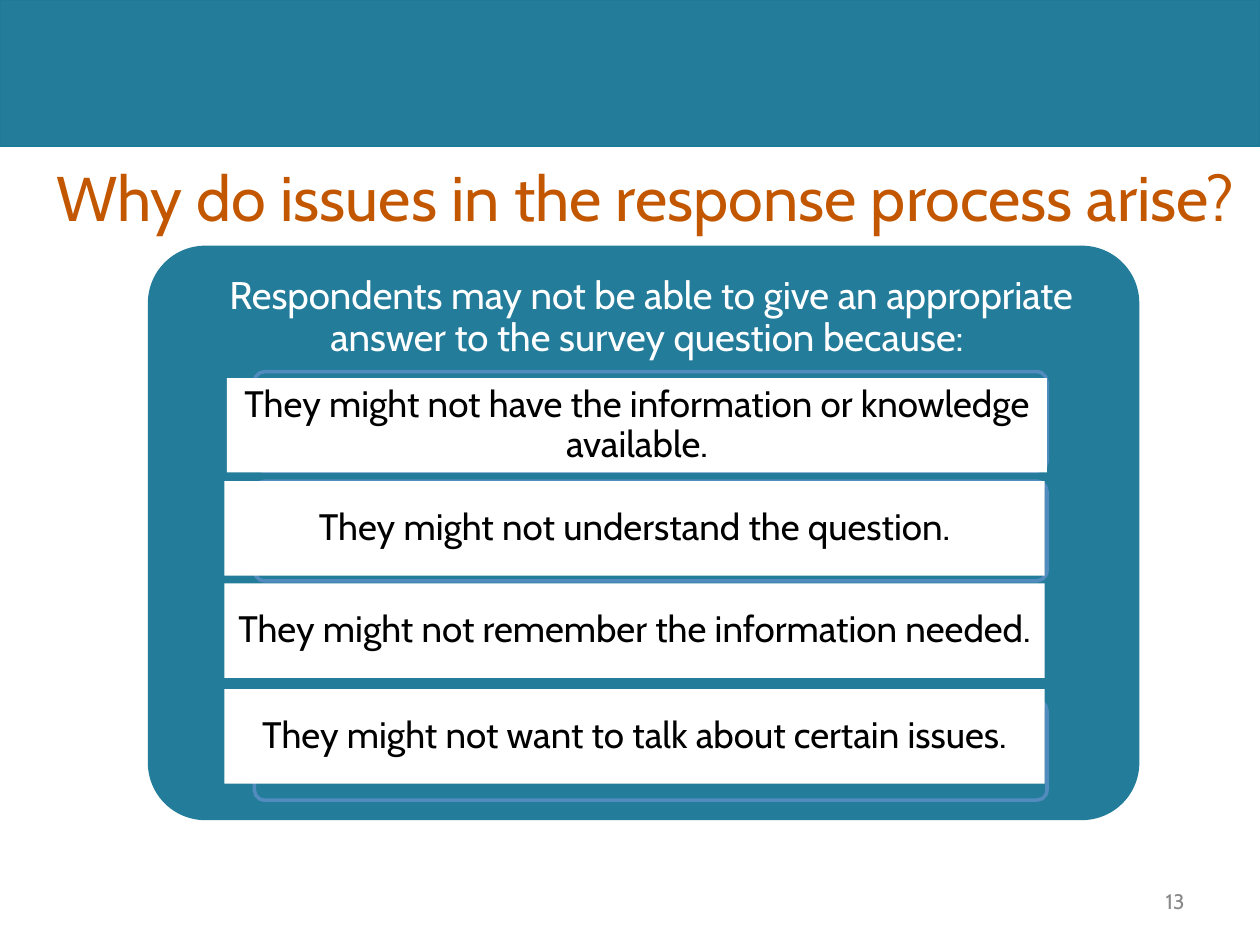
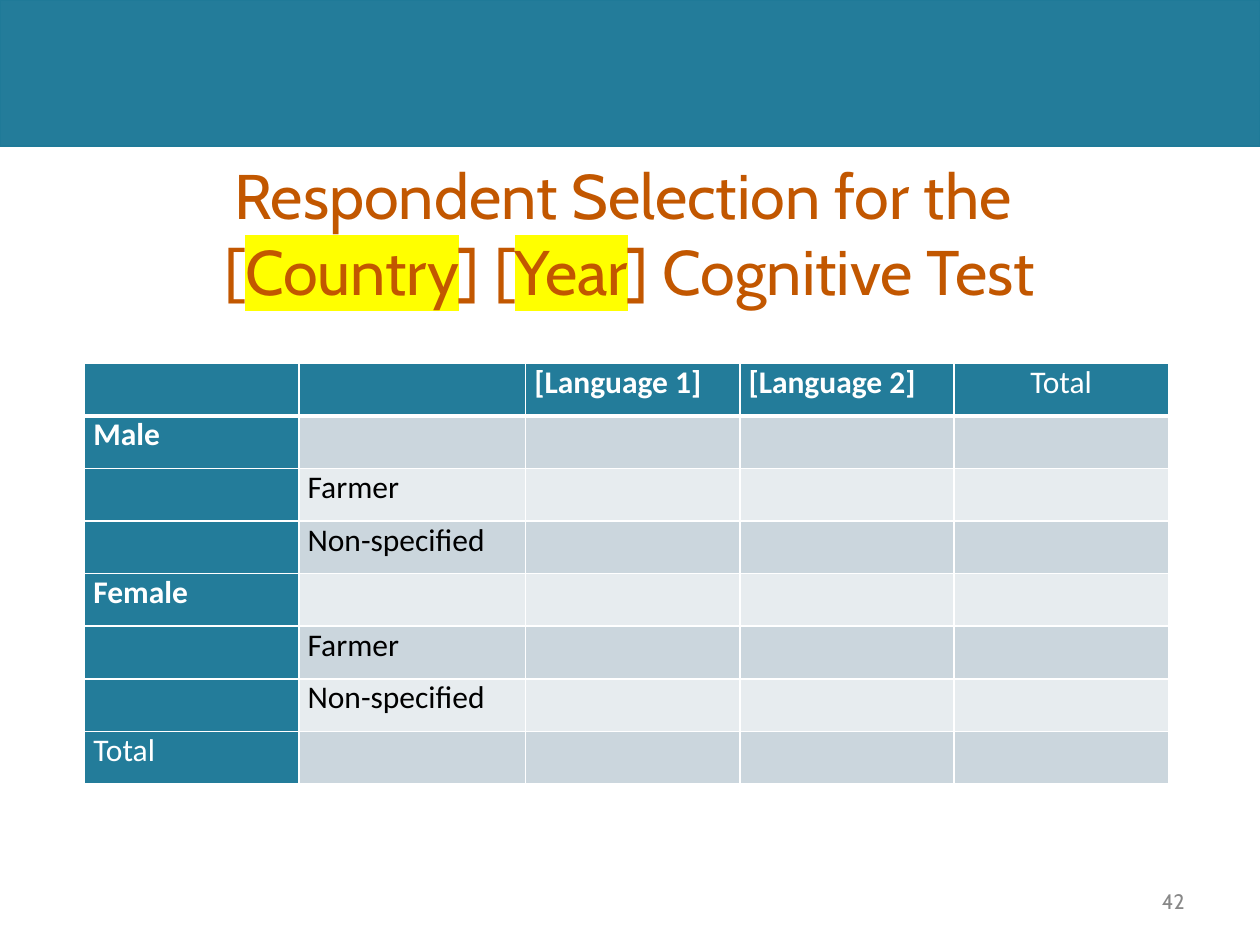
from lxml.etree import SubElement
from pptx import Presentation
from pptx.dml.color import RGBColor
from pptx.enum.shapes import MSO_SHAPE
from pptx.enum.text import MSO_ANCHOR, PP_ALIGN
from pptx.oxml.ns import qn
from pptx.util import Pt

TEAL = RGBColor(0x23, 0x7C, 0x9A)
BAND_EDGE = RGBColor(0x1F, 0x7A, 0x98)
FRAME_BLUE = RGBColor(0x52, 0x8C, 0xBE)
ORANGE = RGBColor(0xC2, 0x57, 0x00)
GREY = RGBColor(0x88, 0x88, 0x88)
DARK_ROW = RGBColor(0xCB, 0xD6, 0xDD)
LIGHT_ROW = RGBColor(0xE7, 0xEC, 0xEF)
WHITE = RGBColor(0xFF, 0xFF, 0xFF)
BLACK = RGBColor(0x00, 0x00, 0x00)
YELLOW = RGBColor(0xFF, 0xFF, 0x00)
FONT = "Cabin"
TABLE_FONT = "Calibri"


def add_block(page, kind, left, top, width, height, fill=None, edge=None, weight=1):
    """Add a shape without shadow; no fill or edge colour means none is drawn."""
    block = page.shapes.add_shape(kind, Pt(left), Pt(top), Pt(width), Pt(height))
    block.shadow.inherit = False
    if fill is None:
        block.fill.background()
    else:
        block.fill.solid()
        block.fill.fore_color.rgb = fill
    if edge is None:
        block.line.fill.background()
    else:
        block.line.color.rgb = edge
        block.line.width = Pt(weight)
    return block


def write(box, pieces, size, color, align=PP_ALIGN.CENTER, spacing=1.0, insets=(7.2, 3.6)):
    """Write the pieces as one paragraph, highlighting every second piece."""
    frame = box.text_frame
    frame.word_wrap = True
    frame.vertical_anchor = MSO_ANCHOR.MIDDLE
    frame.margin_left = frame.margin_right = Pt(insets[0])
    frame.margin_top = frame.margin_bottom = Pt(insets[1])
    para = frame.paragraphs[0]
    para.text = pieces[0]
    para.alignment = align
    para.line_spacing = spacing
    marked = []
    for number, piece in enumerate(pieces[1:]):
        span = para.add_run()
        span.text = piece
        if number % 2 == 0:
            marked.append(span)
    for span in para.runs:
        span.font.name = FONT
        span.font.size = Pt(size)
        span.font.color.rgb = color
    for span in marked:
        properties = span._r.get_or_add_rPr()
        highlight = SubElement(properties, qn("a:highlight"))
        SubElement(highlight, qn("a:srgbClr"), val=str(YELLOW))
        properties.find(qn("a:latin")).addprevious(highlight)


deck = Presentation()
deck.slide_width, deck.slide_height = Pt(720), Pt(540)

# Band, title and page number of every slide
SLIDES = [
    (["Why do issues in the response process arise?"], (18, 83.5, 702, 56.9), "13"),
    (["Respondent Selection for the \v[", "Country", "] [", "Year", "] Cognitive Test"],
     (36, 83.5, 648, 98.6), "42"),
]
pages = []
for title, title_place, page_number in SLIDES:
    page = deck.slides.add_slide(deck.slide_layouts[6])
    add_block(page, MSO_SHAPE.RECTANGLE, 0, 0, 720, 83.5, TEAL, BAND_EDGE, 0.75)
    number_box = page.shapes.add_textbox(Pt(516.2), Pt(500.4), Pt(167.8), Pt(28.8))
    write(number_box, [page_number], 12, GREY, PP_ALIGN.RIGHT)
    title_box = page.shapes.add_textbox(*[Pt(length) for length in title_place])
    write(title_box, title, 36, ORANGE)
    pages.append(page)
reasons_page, selection_page = pages

# Reasons inside one rounded panel
panel = add_block(reasons_page, MSO_SHAPE.ROUNDED_RECTANGLE, 84.5, 140.4, 566.6, 328.3, TEAL)
panel.adjustments[0] = 0.1
intro = add_block(reasons_page, MSO_SHAPE.RECTANGLE, 109.4, 147.6, 525.6, 68.4, TEAL)
write(intro, ["Respondents may not be able to give an appropriate answer "
              "to the survey question because: "],
      22, WHITE, spacing=0.9, insets=(6.5, 6.5))

# Text, left and top of the reason, top of the frame behind it
REASONS = [
    ("They might not have the information or knowledge available.", 129.6, 216, 212.4),
    ("They might not understand the question.", 128.2, 275, 275),
    ("They might not remember the information needed.", 128.2, 333.4, None),
    ("They might not want to talk about certain issues.", 128.2, 393.8, 400.3),
]
for reason, left, top, frame_top in REASONS:
    if frame_top is not None:
        outline = add_block(reasons_page, MSO_SHAPE.ROUNDED_RECTANGLE,
                            145.4, frame_top, 452.9, 56.9, TEAL, FRAME_BLUE, 2)
        outline.adjustments[0] = 0.1
    reason_box = add_block(reasons_page, MSO_SHAPE.RECTANGLE, left, top, 468.7, 54, WHITE)
    write(reason_box, [reason], 21, BLACK, spacing=0.9, insets=(4.3, 2.9))

# Respondent selection table
ROWS = [
    ["", "", "[Language 1]", "[Language 2]", "Total"],
    ["Male", "", "", "", ""],
    ["", "Farmer", "", "", ""],
    ["", "Non-specified", "", "", ""],
    ["Female", "", "", "", ""],
    ["", "Farmer", "", "", ""],
    ["", "Non-specified", "", "", ""],
    ["Total", "", "", "", ""],
]
COLUMN_WIDTHS = [122.4, 129.6, 122.4, 122.4, 122.4]
ROW_HEIGHT = 30.06
table = selection_page.shapes.add_table(
    len(ROWS), len(COLUMN_WIDTHS), Pt(48.4), Pt(207.6),
    Pt(sum(COLUMN_WIDTHS)), Pt(ROW_HEIGHT * len(ROWS))).table
table.first_row = table.horz_banding = False
for column, width in zip(table.columns, COLUMN_WIDTHS):
    column.width = Pt(width)
for row_number, texts in enumerate(ROWS):
    table.rows[row_number].height = Pt(ROW_HEIGHT)
    for column_number, text in enumerate(texts):
        cell = table.cell(row_number, column_number)
        is_heading = row_number == 0 or column_number == 0
        cell.margin_left = cell.margin_right = Pt(5)
        cell.margin_top = cell.margin_bottom = 0
        for side in ("L", "R", "T", "B"):
            thick = (row_number, side) in ((0, "B"), (1, "T"))
            border = SubElement(cell._tc.get_or_add_tcPr(), qn(f"a:ln{side}"),
                                w=str(Pt(3 if thick else 1)))
            SubElement(SubElement(border, qn("a:solidFill")), qn("a:srgbClr"), val=str(WHITE))
        cell.fill.solid()
        if is_heading:
            cell.fill.fore_color.rgb = TEAL
        else:
            cell.fill.fore_color.rgb = DARK_ROW if row_number % 2 else LIGHT_ROW
        if text:
            para = cell.text_frame.paragraphs[0]
            para.text = text
            if column_number == 4:
                para.alignment = PP_ALIGN.CENTER
            font = para.runs[0].font
            font.name = TABLE_FONT
            font.size = Pt(18)
            font.bold = is_heading and text != "Total"
            font.color.rgb = WHITE if is_heading else BLACK

deck.save("out.pptx")
